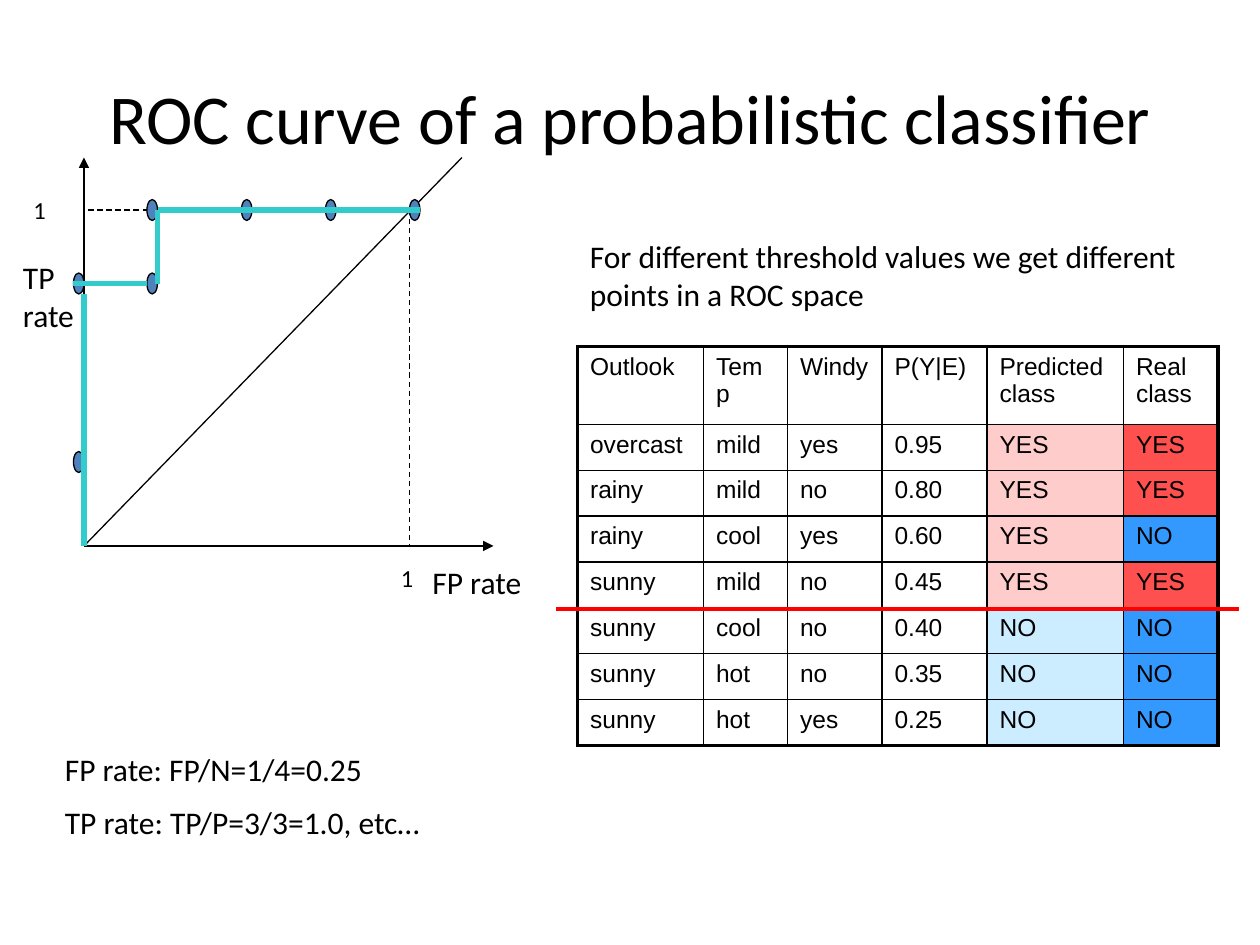
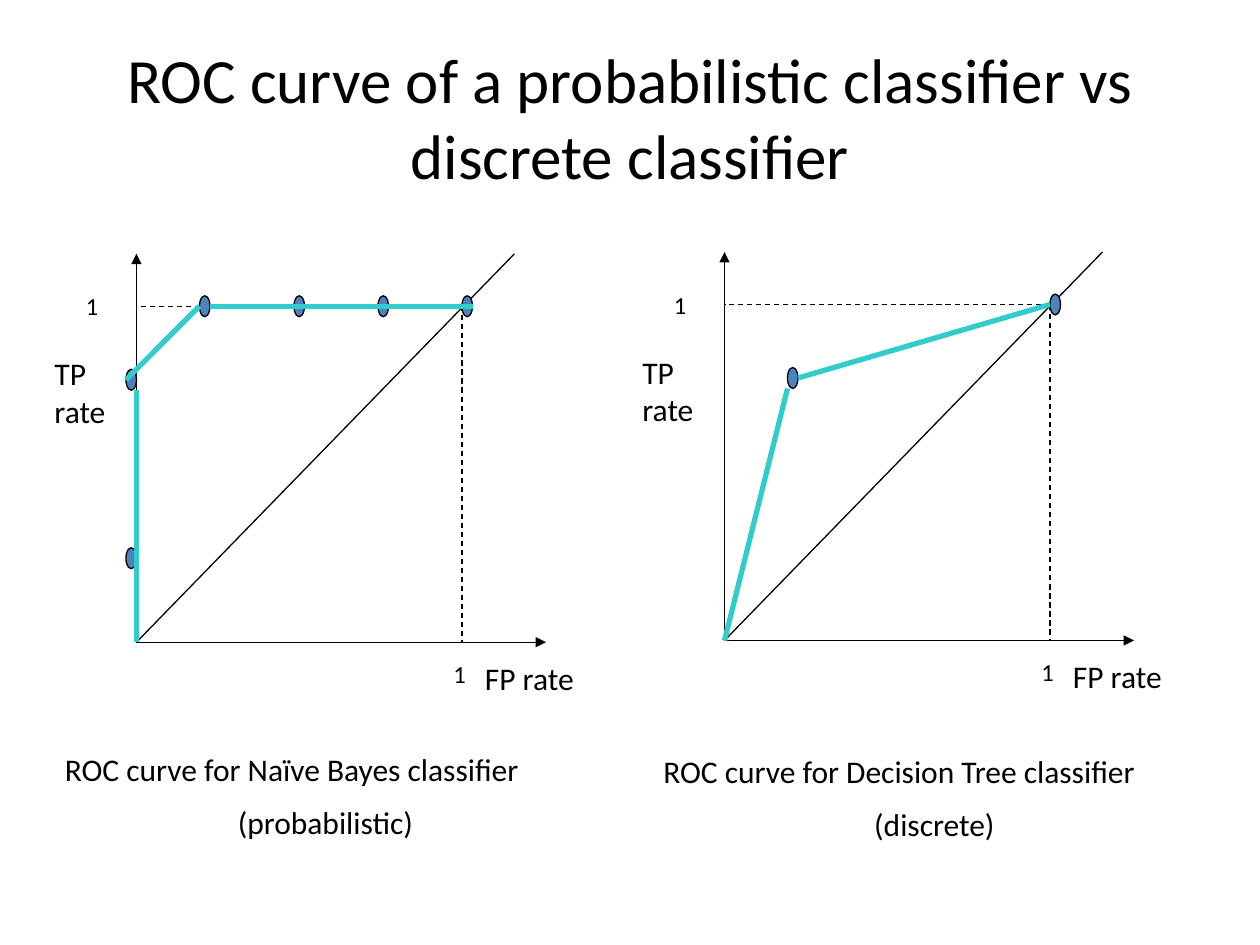
from dataclasses import dataclass

import pptx
import pptx.dml.color
import pptx.enum.dml
import pptx.enum.shapes
import pptx.enum.text
import pptx.oxml
import pptx.oxml.ns
import pptx.slide
import pptx.table
import pptx.util

Pt = pptx.util.Pt
RGBColor = pptx.dml.color.RGBColor
Align = pptx.enum.text.PP_ALIGN

BLACK = RGBColor(0x00, 0x00, 0x00)
WHITE = RGBColor(0xFF, 0xFF, 0xFF)
THRESHOLD_RED = RGBColor(0xFF, 0x00, 0x00)
CURVE_TEAL = RGBColor(0x33, 0xCC, 0xCC)
POINT_BLUE = RGBColor(0x4F, 0x81, 0xBD)
PREDICTED = {"YES": RGBColor(0xFF, 0xCC, 0xCC), "NO": RGBColor(0xCC, 0xEC, 0xFF)}
REAL = {"YES": RGBColor(0xFF, 0x50, 0x50), "NO": RGBColor(0x33, 0x99, 0xFF)}

HEADING_FONT = "Calibri"
TABLE_FONT = "Arial"
THIN, THICK = 1, 2.25

Point = tuple[float, float]

UNIT_X, UNIT_Y = 186, -192
AXIS_X, AXIS_Y = 234, -222
DIAGONAL_END = (216, AXIS_Y)
POINT_WIDTH, POINT_HEIGHT = 6, 12

COLUMN_WIDTHS = (72, 48, 54, 60, 78, 54)
HEADER_HEIGHT, ROW_HEIGHT = 44.6, 26.2
PREDICTIONS = (
    ("Outlook", "Temp", "Windy", "P(Y|E)", "Predicted class", "Real class"),
    ("overcast", "mild", "yes", "0.95", "YES", "YES"),
    ("rainy", "mild", "no", "0.80", "YES", "YES"),
    ("rainy", "cool", "yes", "0.60", "YES", "NO"),
    ("sunny", "mild", "no", "0.45", "YES", "YES"),
    ("sunny", "cool", "no", "0.40", "NO", "NO"),
    ("sunny", "hot", "no", "0.35", "NO", "NO"),
    ("sunny", "hot", "yes", "0.25", "NO", "NO"),
)


@dataclass(frozen=True)
class Label:
    lines: tuple[str, ...]
    left: float
    top: float
    width: float
    height: float
    size: float = 18
    last_align: Align = Align.LEFT


@dataclass(frozen=True)
class Stroke:
    start: Point
    end: Point
    color: RGBColor = BLACK
    width: float = 0.75
    dashed: bool = False
    arrow: bool = False


@dataclass(frozen=True)
class RocPlot:
    origin: Point
    points: tuple[Point, ...]
    curve: tuple[tuple[Point, Point], ...]
    tp_label_x: float = -54


TOP_POINTS = ((39, UNIT_Y), (93, UNIT_Y), (141, UNIT_Y), (189, UNIT_Y))
AXIS_POINTS = ((-3, -48), (-3, -150))
RISE = ((0, -144), (0, 0))
PLATEAU = ((42, UNIT_Y), (192, UNIT_Y))

STEPPED_PLOT = RocPlot(
    (48, 312),
    (*AXIS_POINTS, (39, -150), *TOP_POINTS),
    (RISE, ((-6, -150), (36, -150)), ((42, UNIT_Y), (42, -150)), PLATEAU),
    tp_label_x=-42,
)
BAYES_PLOT = RocPlot(
    (78, 367),
    (*AXIS_POINTS, *TOP_POINTS),
    (RISE, ((-6, -150), (36, UNIT_Y)), PLATEAU),
)
TREE_PLOT = RocPlot(
    (414, 366),
    ((39, -150), (189, UNIT_Y)),
    (((36, -144), (0, 0)), ((42, -150), (UNIT_X, UNIT_Y))),
)


def format_runs(paragraph, font: str, size: float) -> None:
    for run in paragraph.runs:
        run.font.name = font
        run.font.size = Pt(size)
        run.font.color.rgb = BLACK


def add_titled_slide(deck, title: str, size: float) -> pptx.slide.Slide:
    slide = deck.slides.add_slide(deck.slide_layouts[5])
    heading = slide.shapes.title
    heading.left, heading.top = Pt(36), Pt(21.6)
    heading.width, heading.height = Pt(648), Pt(90)
    heading.text_frame.text = title
    heading.text_frame.vertical_anchor = pptx.enum.text.MSO_ANCHOR.MIDDLE
    paragraph = heading.text_frame.paragraphs[0]
    paragraph.alignment = Align.CENTER
    format_runs(paragraph, HEADING_FONT, size)
    return slide


def add_label(slide: pptx.slide.Slide, label: Label) -> None:
    box = slide.shapes.add_textbox(
        Pt(label.left), Pt(label.top), Pt(label.width), Pt(label.height)
    )
    frame = box.text_frame
    frame.word_wrap = True
    frame.auto_size = pptx.enum.text.MSO_AUTO_SIZE.SHAPE_TO_FIT_TEXT
    frame.text = "\n".join(label.lines)
    for paragraph in frame.paragraphs:
        format_runs(paragraph, HEADING_FONT, label.size)
    for paragraph in frame.paragraphs[1:]:
        paragraph.space_before = Pt(label.size / 2)
    frame.paragraphs[-1].alignment = label.last_align


def add_stroke(slide: pptx.slide.Slide, stroke: Stroke, origin: Point = (0, 0)) -> None:
    x, y = origin
    connector = slide.shapes.add_connector(
        pptx.enum.shapes.MSO_CONNECTOR.STRAIGHT,
        Pt(x + stroke.start[0]),
        Pt(y + stroke.start[1]),
        Pt(x + stroke.end[0]),
        Pt(y + stroke.end[1]),
    )
    connector.line.color.rgb = stroke.color
    connector.line.width = Pt(stroke.width)
    if stroke.dashed:
        connector.line.dash_style = pptx.enum.dml.MSO_LINE.DASH
    properties = connector._element.spPr
    if stroke.arrow:
        outline = properties.find(pptx.oxml.ns.qn("a:ln"))
        tail = pptx.oxml.parse_xml(
            f'<a:tailEnd {pptx.oxml.ns.nsdecls("a")} type="triangle"/>'
        )
        outline.append(tail)
    properties.append(
        pptx.oxml.parse_xml(f'<a:effectLst {pptx.oxml.ns.nsdecls("a")}/>')
    )


def add_point(slide: pptx.slide.Slide, center: Point, origin: Point) -> None:
    point = slide.shapes.add_shape(
        pptx.enum.shapes.MSO_SHAPE.OVAL,
        Pt(origin[0] + center[0] - POINT_WIDTH / 2),
        Pt(origin[1] + center[1] - POINT_HEIGHT / 2),
        Pt(POINT_WIDTH),
        Pt(POINT_HEIGHT),
    )
    point.shadow.inherit = False
    point.fill.solid()
    point.fill.fore_color.rgb = POINT_BLUE
    point.line.color.rgb = BLACK
    point.line.width = Pt(0.75)


def add_roc_plot(slide: pptx.slide.Slide, plot: RocPlot) -> None:
    x, y = plot.origin
    frame_strokes = (
        Stroke((0, 0), (AXIS_X, 0), arrow=True),
        Stroke((0, 0), (0, AXIS_Y), arrow=True),
        Stroke((0, 0), DIAGONAL_END),
        Stroke((UNIT_X, UNIT_Y), (0, UNIT_Y), dashed=True),
        Stroke((UNIT_X, UNIT_Y), (UNIT_X, 0), dashed=True),
    )
    for stroke in frame_strokes:
        add_stroke(slide, stroke, plot.origin)
    axis_labels = (
        Label(("FP rate",), x + 192, y + 6, 96, 29),
        Label(("TP rate",), x + plot.tp_label_x, y - 168, 54, 50),
        Label(("1",), x + 174, y + 6, 36, 24, 14),
        Label(("1",), x - 36, y - 204, 36, 24, 14),
    )
    for label in axis_labels:
        add_label(slide, label)
    for center in plot.points:
        add_point(slide, center, plot.origin)
    for start, end in plot.curve:
        add_stroke(slide, Stroke(start, end, CURVE_TEAL, 3), plot.origin)


def set_border(cell: pptx.table._Cell, side: str, width: float) -> None:
    border = pptx.oxml.parse_xml(
        f'<a:ln{side} {pptx.oxml.ns.nsdecls("a")} w="{Pt(width)}">'
        f'<a:solidFill><a:srgbClr val="{BLACK}"/></a:solidFill></a:ln{side}>'
    )
    cell._tc.get_or_add_tcPr().append(border)


def add_predictions_table(slide: pptx.slide.Slide) -> None:
    row_count, column_count = len(PREDICTIONS), len(COLUMN_WIDTHS)
    table = slide.shapes.add_table(
        row_count,
        column_count,
        Pt(330),
        Pt(198),
        Pt(sum(COLUMN_WIDTHS)),
        Pt(HEADER_HEIGHT + (row_count - 1) * ROW_HEIGHT),
    ).table
    table.first_row = table.horz_banding = False
    for column, width in zip(table.columns, COLUMN_WIDTHS):
        column.width = Pt(width)
    for row_index, values in enumerate(PREDICTIONS):
        table.rows[row_index].height = Pt(ROW_HEIGHT if row_index else HEADER_HEIGHT)
        for column_index, value in enumerate(values):
            cell = table.cell(row_index, column_index)
            outer_sides = {
                "L": column_index == 0,
                "R": column_index == column_count - 1,
                "T": row_index == 0,
                "B": row_index == row_count - 1,
            }
            for side, is_outer in outer_sides.items():
                set_border(cell, side, THICK if is_outer else THIN)
            class_fills = {4: PREDICTED, 5: REAL}.get(column_index, {})
            cell.fill.solid()
            cell.fill.fore_color.rgb = class_fills.get(value, WHITE)
            cell.text_frame.text = value
            format_runs(cell.text_frame.paragraphs[0], TABLE_FONT, 14)


def build_probabilistic_slide(deck) -> None:
    slide = add_titled_slide(deck, "ROC curve of a probabilistic classifier", 40)
    add_predictions_table(slide)
    add_stroke(slide, Stroke((318, 348), (708, 348), THRESHOLD_RED, 2.25))
    explanation = "For different threshold values we get different points in a ROC space"
    add_label(slide, Label((explanation,), 330, 132, 360, 50))
    rates = ("FP rate: FP/N=1/4=0.25", "TP rate: TP/P=3/3=1.0, etc…")
    add_label(slide, Label(rates, 30, 425, 252, 61))
    add_roc_plot(slide, STEPPED_PLOT)


def build_comparison_slide(deck) -> None:
    slide = add_titled_slide(
        deck, "ROC curve of a probabilistic classifier vs discrete classifier", 36
    )
    add_roc_plot(slide, BAYES_PLOT)
    add_roc_plot(slide, TREE_PLOT)
    bayes = ("ROC curve for Naïve Bayes classifier", "(probabilistic)")
    tree = ("ROC curve for Decision Tree classifier", "(discrete)")
    add_label(slide, Label(bayes, 30, 425, 312, 61, last_align=Align.CENTER))
    add_label(slide, Label(tree, 372, 426, 324, 61, last_align=Align.CENTER))


def main() -> None:
    deck = pptx.Presentation()
    deck.slide_width, deck.slide_height = Pt(720), Pt(540)
    build_probabilistic_slide(deck)
    build_comparison_slide(deck)
    deck.save("out.pptx")


if __name__ == "__main__":
    main()
